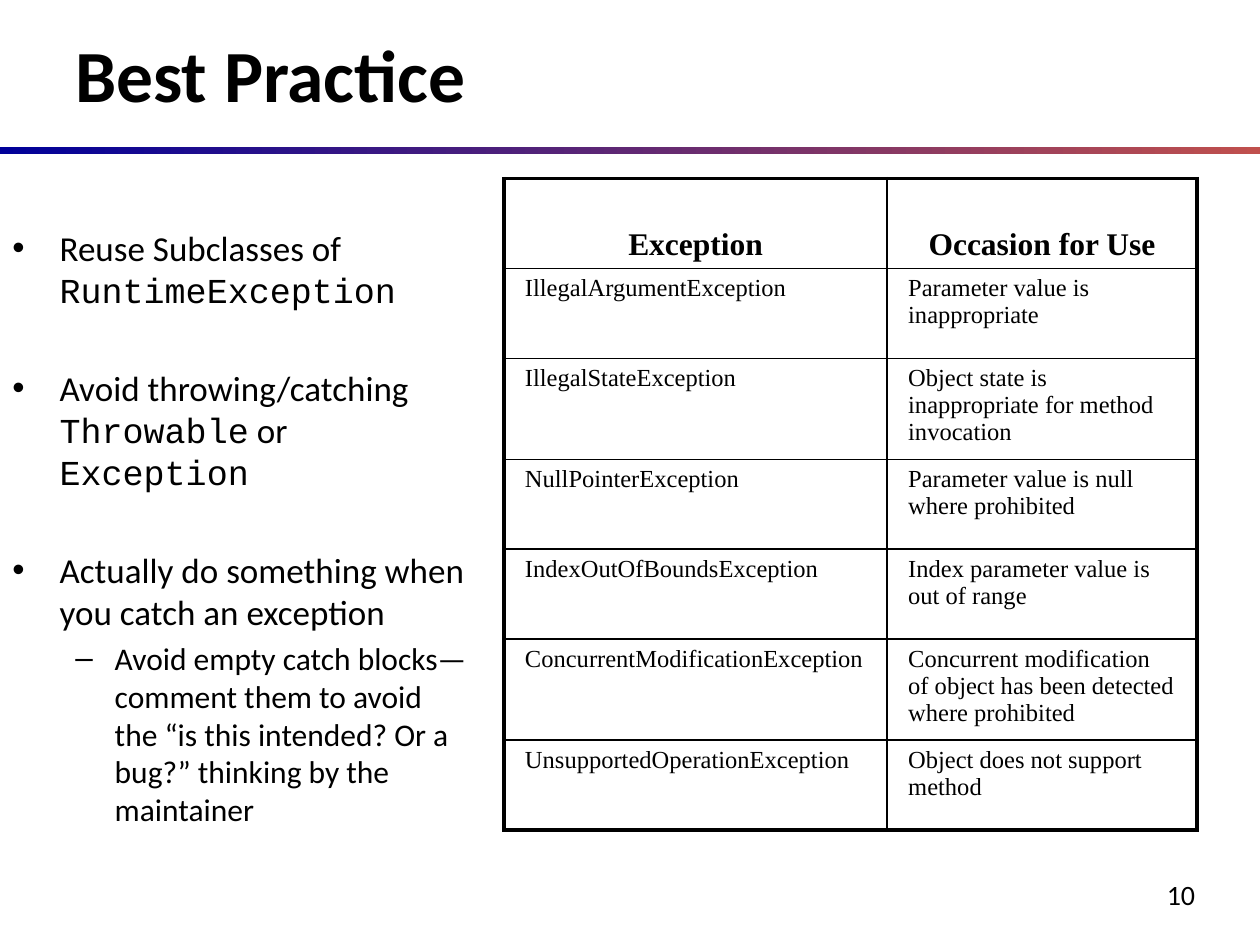
from dataclasses import dataclass

from lxml import etree
from pptx import Presentation
from pptx.dml.color import RGBColor
from pptx.enum.shapes import MSO_SHAPE
from pptx.enum.text import MSO_ANCHOR, PP_ALIGN
from pptx.oxml.ns import qn
from pptx.util import Pt

RECTANGLE = MSO_SHAPE.RECTANGLE
TOP, MIDDLE, BOTTOM = MSO_ANCHOR.TOP, MSO_ANCHOR.MIDDLE, MSO_ANCHOR.BOTTOM
LEFT, CENTER, RIGHT = PP_ALIGN.LEFT, PP_ALIGN.CENTER, PP_ALIGN.RIGHT

BODY_FONT, CODE_FONT, TABLE_FONT = "Calibri", "Courier New", "Times New Roman"
BLACK, NAVY, BRICK = "000000", "000099", "C0504D"
OUTER_LINE, INNER_LINE = 2.25, 1
COLUMN_WIDTHS = (219, 177)
ROW_HEIGHT = 51.4


@dataclass(frozen=True)
class Run:
    text: str
    size: float
    font: str = BODY_FONT
    bold: bool = False


@dataclass(frozen=True)
class Bullet:
    runs: tuple[Run, ...]
    before: float
    mark: str = "•"
    level: int = 0
    margin: float = 27
    hanging: float = 27


@dataclass(frozen=True)
class Advice:
    exception: str
    occasion: str


BULLETS = (
    Bullet((Run("Reuse Subclasses of ", 20), Run("RuntimeException", 20, CODE_FONT)), 4),
    Bullet(
        (
            Run("Avoid throwing/catching ", 20),
            Run("Throwable", 20, CODE_FONT),
            Run(" or ", 20),
            Run("Exception", 20, CODE_FONT),
        ),
        32,
    ),
    Bullet((Run("Actually do something when you catch an exception", 20),), 32),
    Bullet(
        (
            Run(
                "Avoid empty catch blocks—comment them to avoid the “is this "
                "intended? Or a bug?” thinking by the maintainer",
                18,
            ),
        ),
        3.6, "–", 1, 58.5, 22.5,
    ),
)

ADVICE = (
    Advice("Exception", "Occasion for Use"),
    Advice("IllegalArgumentException", "Parameter value is inappropriate"),
    Advice("IllegalStateException", "Object state is inappropriate for method invocation"),
    Advice("NullPointerException", "Parameter value is null where prohibited"),
    Advice("IndexOutOfBoundsException", "Index parameter value is out of range"),
    Advice(
        "ConcurrentModificationException",
        "Concurrent modification of object has been detected where prohibited",
    ),
    Advice("UnsupportedOperationException", "Object does not support method"),
)


def color(value: str) -> RGBColor:
    return RGBColor.from_string(value)


def add_run(paragraph, content: Run) -> None:
    run = paragraph.add_run()
    run.text = content.text
    run.font.size = Pt(content.size)
    run.font.name = content.font
    run.font.bold = content.bold
    run.font.color.rgb = color(BLACK)


def add_frame(slide, left: float, top: float, width: float, height: float, anchor):
    frame = slide.shapes.add_textbox(Pt(left), Pt(top), Pt(width), Pt(height)).text_frame
    frame.word_wrap = True
    frame.vertical_anchor = anchor
    return frame


def add_line_of_text(frame, content: Run, alignment) -> None:
    paragraph = frame.paragraphs[0]
    paragraph.alignment = alignment
    add_run(paragraph, content)


def add_divider(slide) -> None:
    divider = slide.shapes.add_shape(RECTANGLE, Pt(0), Pt(84.2), Pt(720), Pt(3.6))
    divider.shadow.inherit = False
    divider.line.fill.background()
    divider.fill.gradient()
    divider.fill.gradient_angle = 0
    for stop, position, shade in zip(divider.fill.gradient_stops, (0, 1), (NAVY, BRICK)):
        stop.position = position
        stop.color.rgb = color(shade)


def add_bullet(paragraph, bullet: Bullet) -> None:
    paragraph.level = bullet.level
    paragraph.space_before = Pt(bullet.before)
    for run in bullet.runs:
        add_run(paragraph, run)
    properties = paragraph._p.get_or_add_pPr()
    properties.set("marL", str(Pt(bullet.margin)))
    properties.set("indent", str(-Pt(bullet.hanging)))
    etree.SubElement(properties, qn("a:buFont"), typeface="Arial")
    etree.SubElement(properties, qn("a:buChar"), char=bullet.mark)


def add_borders(cell, widths: dict[str, float]) -> None:
    properties = cell._tc.get_or_add_tcPr()
    for side, width in widths.items():
        line = etree.SubElement(properties, qn(f"a:ln{side}"), w=str(Pt(width)))
        fill = etree.SubElement(line, qn("a:solidFill"))
        etree.SubElement(fill, qn("a:srgbClr"), val=BLACK)


def fill_cell(cell, text: str, row: int, column: int) -> None:
    header = row == 0
    at_edge = {
        "L": column == 0,
        "R": column == len(COLUMN_WIDTHS) - 1,
        "T": header,
        "B": row == len(ADVICE) - 1,
    }
    add_borders(cell, {side: OUTER_LINE if edge else INNER_LINE for side, edge in at_edge.items()})
    cell.fill.background()
    cell.margin_left = cell.margin_right = Pt(12)
    cell.margin_top = cell.margin_bottom = Pt(3.6)
    cell.vertical_anchor = BOTTOM if header else TOP
    size = 18 if header else 14
    add_line_of_text(
        cell.text_frame, Run(text, size, TABLE_FONT, header), CENTER if header else LEFT
    )
    cell.text_frame.paragraphs[0].space_before = Pt(size * 0.2)


def add_advice_table(slide) -> None:
    table = slide.shapes.add_table(
        len(ADVICE), len(COLUMN_WIDTHS), Pt(288), Pt(102),
        Pt(sum(COLUMN_WIDTHS)), Pt(ROW_HEIGHT * len(ADVICE)),
    ).table
    table.first_row = table.horz_banding = False
    for column, width in zip(table.columns, COLUMN_WIDTHS):
        column.width = Pt(width)
    for row, advice in enumerate(ADVICE):
        table.rows[row].height = Pt(ROW_HEIGHT)
        for column, text in enumerate((advice.exception, advice.occasion)):
            fill_cell(table.cell(row, column), text, row, column)


def main() -> None:
    deck = Presentation()
    deck.slide_width, deck.slide_height = Pt(720), Pt(540)
    slide = deck.slides.add_slide(deck.slide_layouts[6])

    add_divider(slide)
    page_number = add_frame(slide, 618, 498, 72, 26.6, TOP)
    add_line_of_text(page_number, Run("10", 16), RIGHT)
    title = add_frame(slide, 36, 12, 654, 60, MIDDLE)
    add_line_of_text(title, Run("Best Practice", 42, bold=True), LEFT)
    add_advice_table(slide)

    practices = add_frame(slide, 0, 126, 276.5, 360, TOP)
    for index, bullet in enumerate(BULLETS):
        add_bullet(practices.add_paragraph() if index else practices.paragraphs[0], bullet)

    deck.save("out.pptx")


if __name__ == "__main__":
    main()
